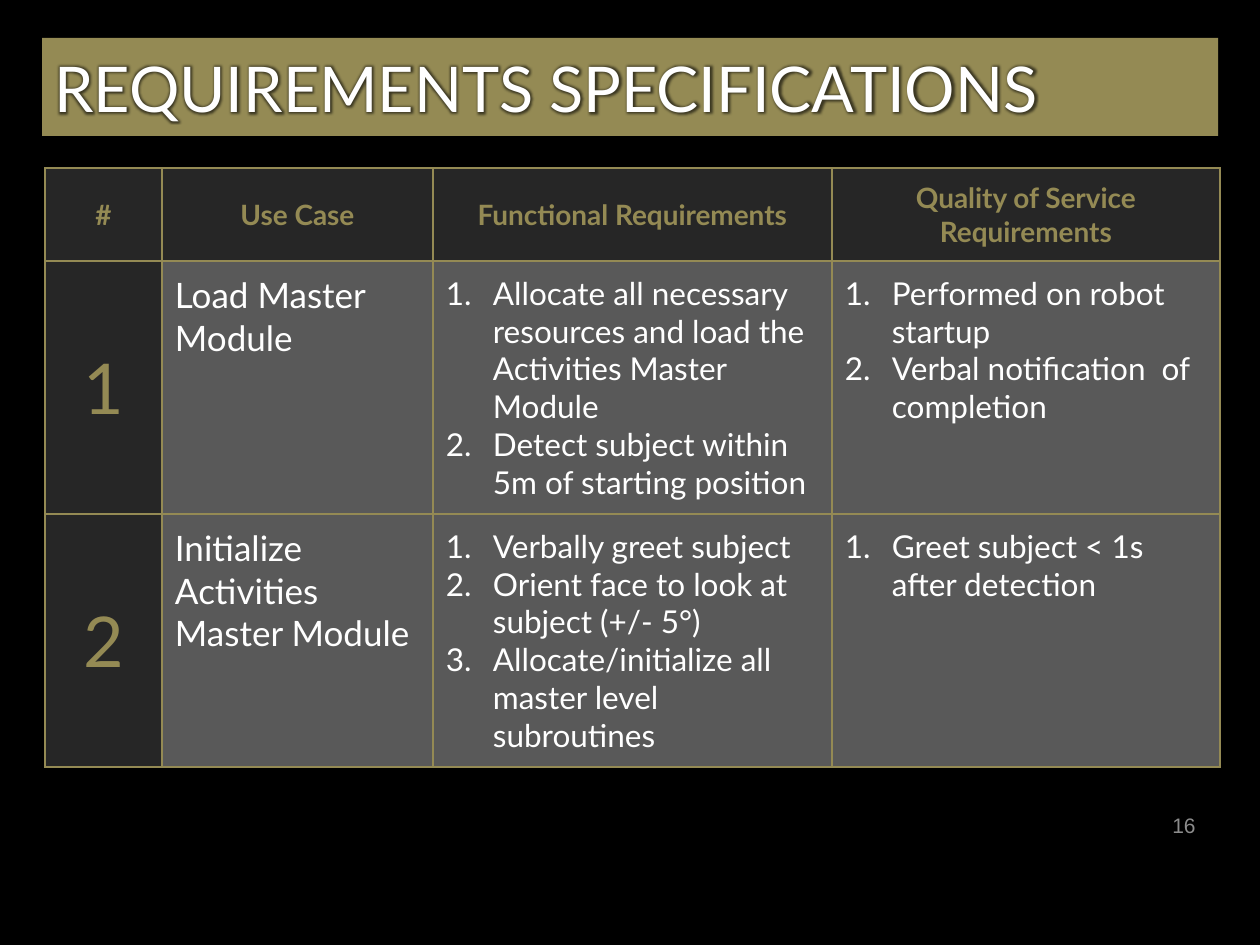
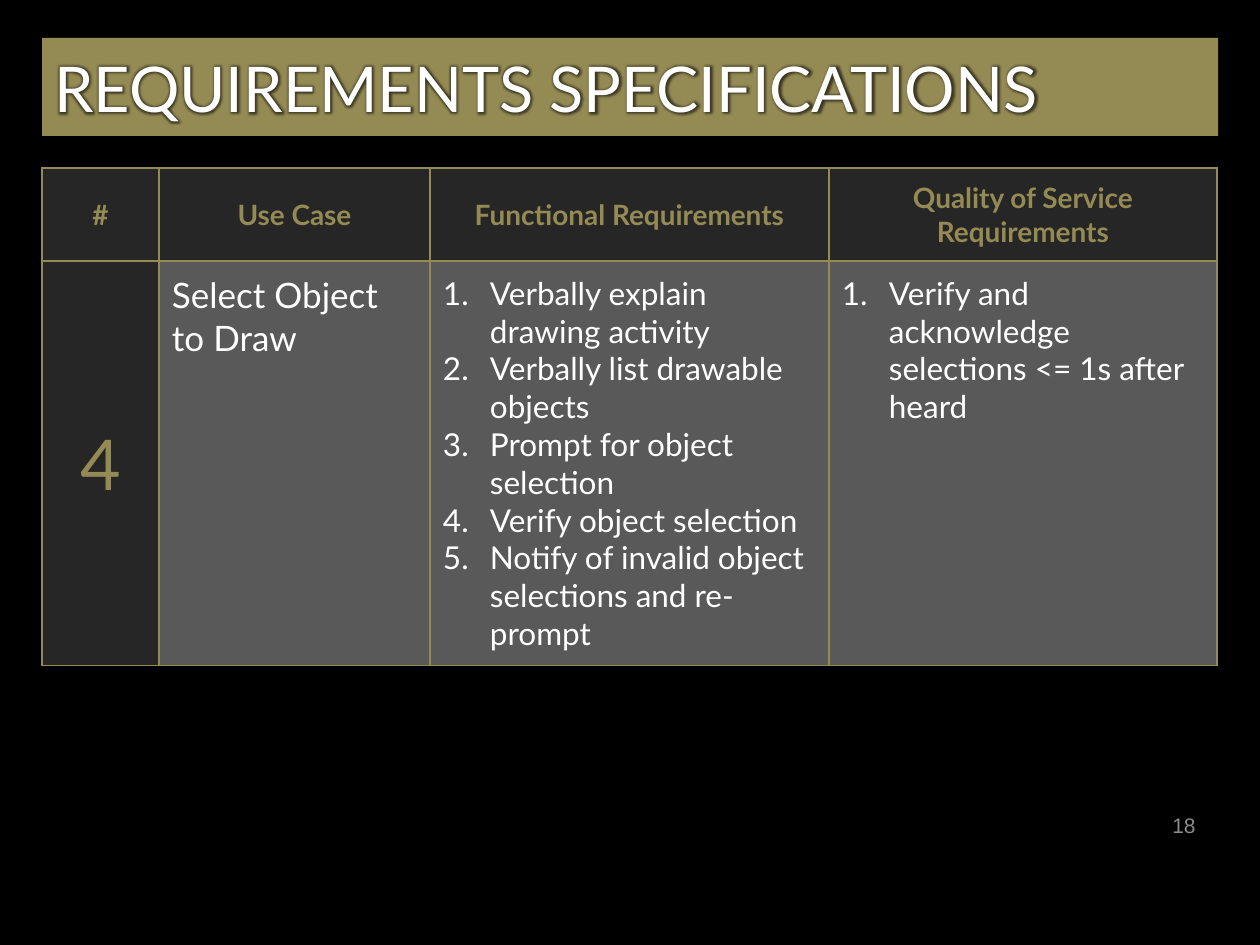
from lxml.etree import SubElement
from pptx import Presentation
from pptx.dml.color import RGBColor
from pptx.enum.shapes import MSO_SHAPE as Shape
from pptx.enum.text import MSO_ANCHOR as Anchor, PP_ALIGN as Align
from pptx.oxml.ns import qn
from pptx.util import Pt

SCALE = 914400 / 126
COLORS = {
    "page": "000000",
    "gold": "948A54",
    "dark": "262626",
    "gray": "595959",
    "white": "FFFFFF",
    "number": "8C8C8C",
}
TITLE = "REQUIREMENTS SPECIFICATIONS"
HEADINGS = ["#", "Use Case", "Functional Requirements", "Quality of Service Requirements"]
COLUMN_WIDTHS = [117, 271, 399, 388]
HEADER_HEIGHT = 93
MARGIN = 13
INDENT = 47


def px(length):
    """Turn pixels into EMU."""
    return round(length * SCALE)


def rgb(name):
    """Look up a named colour."""
    return RGBColor.from_string(COLORS[name])


class RequirementsDeck:
    """Holds the shared style and the current slide."""

    def __init__(self):
        """Start an empty deck."""
        self.deck = Presentation()
        self.deck.slide_width, self.deck.slide_height = px(1260), px(945)
        self.page = None

    def add_page(self, number):
        """Start a black slide with its title band and page number."""
        self.page = self.deck.slides.add_slide(self.deck.slide_layouts[6])
        self.page.background.fill.solid()
        self.page.background.fill.fore_color.rgb = rgb("page")
        self.title_band(TITLE)
        self.page_number(number)

    def set_text(self, frame, lines, size, color, align=Align.LEFT, bold=False,
                 font="Lato", numbered=False):
        """Fill a text frame with one paragraph per line."""
        frame.word_wrap = True
        for index, line in enumerate(lines):
            para = frame.paragraphs[0] if index == 0 else frame.add_paragraph()
            para.alignment = align
            if numbered:
                self.number_bullet(para)
            para.font.name, para.font.size, para.font.bold = font, Pt(size), bold
            para.font.color.rgb = rgb(color)
            para.add_run().text = line

    def number_bullet(self, para):
        """Give a paragraph an automatic number and a hanging indent."""
        properties = para._p.get_or_add_pPr()
        properties.set("marL", str(px(INDENT)))
        properties.set("indent", str(-px(INDENT)))
        SubElement(properties, qn("a:buAutoNum"), type="arabicPeriod")

    def title_band(self, text):
        """Draw the gold band with its glowing title."""
        band = self.page.shapes.add_shape(
            Shape.ROUNDED_RECTANGLE, px(42), px(38), px(1176), px(98))
        band.adjustments[0] = 0
        band.shadow.inherit = False
        band.fill.solid()
        band.fill.fore_color.rgb = rgb("gold")
        band.line.fill.background()
        band.text_frame.vertical_anchor = Anchor.MIDDLE
        self.set_text(band.text_frame, [text], 36, "white")
        span = band.text_frame.paragraphs[0].runs[0]
        effects = SubElement(span._r.get_or_add_rPr(), qn("a:effectLst"))
        glow = SubElement(effects, qn("a:glow"), rad=str(Pt(5)))
        tint = SubElement(glow, qn("a:srgbClr"), val=COLORS["page"])
        SubElement(tint, qn("a:alpha"), val="60000")

    def page_number(self, number):
        """Set the page number at the lower right."""
        box = self.page.shapes.add_textbox(px(914), px(800), px(294), px(50))
        box.text_frame.vertical_anchor = Anchor.MIDDLE
        self.set_text(box.text_frame, [str(number)], 12, "number", Align.RIGHT, font="Arial")

    def cell(self, cell, lines, fill, anchor=Anchor.TOP, **style):
        """Style one table cell and set its text."""
        properties = cell._tc.get_or_add_tcPr()
        for side in ("lnL", "lnR", "lnT", "lnB"):
            border = SubElement(properties, qn(f"a:{side}"), w=str(Pt(1)))
            paint = SubElement(border, qn("a:solidFill"))
            SubElement(paint, qn("a:srgbClr"), val=COLORS["gold"])
        cell.fill.solid()
        cell.fill.fore_color.rgb = rgb(fill)
        cell.margin_left = cell.margin_right = px(MARGIN)
        cell.margin_top = cell.margin_bottom = px(MARGIN)
        cell.vertical_anchor = anchor
        self.set_text(cell.text_frame, lines, **style)

    def requirements_table(self, left, row_height, use_cases):
        """Build the table of use cases and their requirements."""
        heights = [HEADER_HEIGHT] + [row_height] * len(use_cases)
        table = self.page.shapes.add_table(
            len(heights), len(HEADINGS), px(left), px(168),
            px(sum(COLUMN_WIDTHS)), px(sum(heights))).table
        table.first_row = table.horz_banding = False
        for column, width in zip(table.columns, COLUMN_WIDTHS):
            column.width = px(width)
        for row, height in zip(table.rows, heights):
            row.height = px(height)
        label = dict(fill="dark", anchor=Anchor.MIDDLE, color="gold", align=Align.CENTER)
        body = dict(fill="gray", color="white")
        for column, heading in enumerate(HEADINGS):
            self.cell(table.cell(0, column), [heading], size=16, bold=True, **label)
        for row, (number, name, functions, qualities) in enumerate(use_cases, 1):
            self.cell(table.cell(row, 0), [number], size=40, **label)
            self.cell(table.cell(row, 1), name, size=20, **body)
            for column, items in enumerate((functions, qualities), 2):
                self.cell(table.cell(row, column), items, size=18, numbered=True, **body)


def main():
    """Build both slides and save the deck."""
    slides = RequirementsDeck()
    slides.add_page(16)
    slides.requirements_table(45, 253, [
        ("1", ["Load Master Module"],
         ["Allocate all necessary resources and load the Activities Master Module",
          "Detect subject within 5m of starting position"],
         ["Performed on robot startup", "Verbal notification  of completion"]),
        ("2", ["Initialize Activities Master Module"],
         ["Verbally greet subject",
          "Orient face to look at subject (+/- 5°)",
          "Allocate/initialize all master level subroutines"],
         ["Greet subject < 1s after detection"]),
    ])
    slides.add_page(18)
    slides.requirements_table(42, 404, [
        ("4", ["Select Object", "to Draw"],
         ["Verbally explain drawing activity",
          "Verbally list drawable objects",
          "Prompt for object selection",
          "Verify object selection",
          "Notify of invalid object selections and re-prompt"],
         ["Verify and acknowledge selections <= 1s after heard"]),
    ])
    slides.deck.save("out.pptx")


if __name__ == "__main__":
    main()
